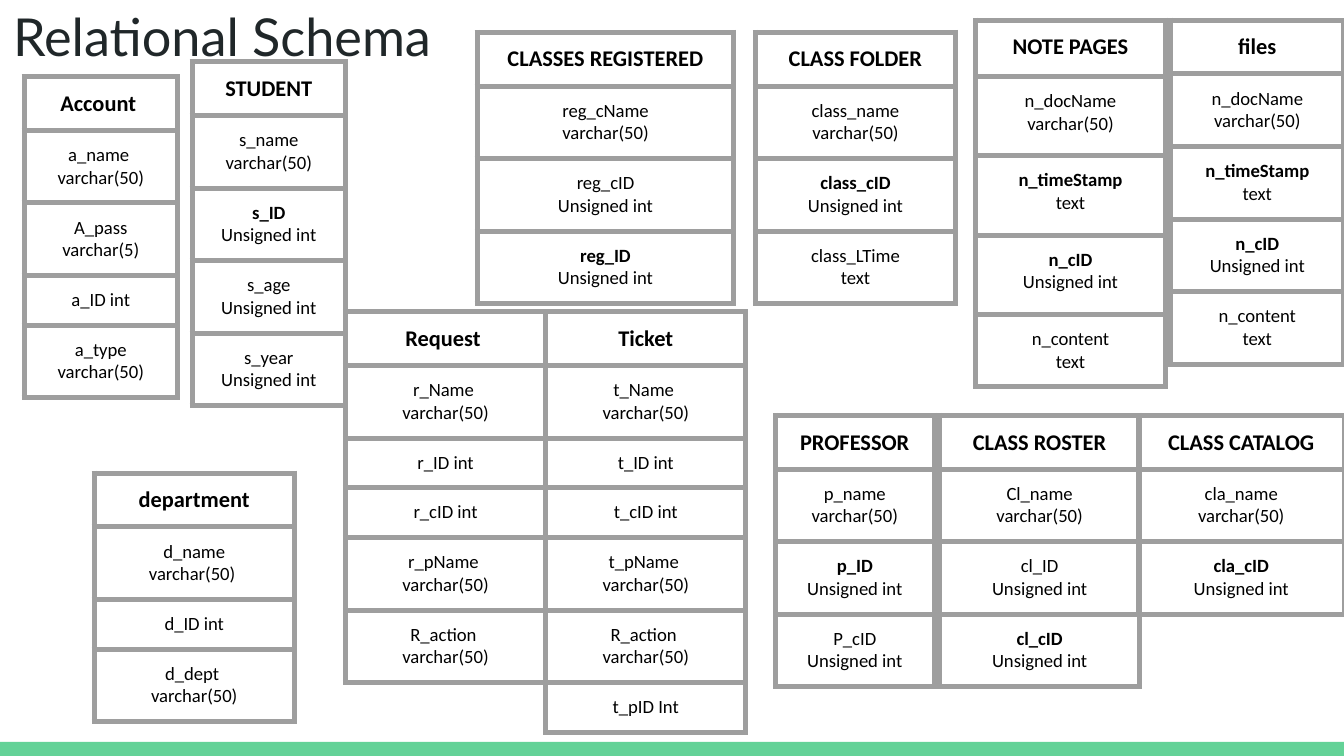
from lxml.etree import SubElement
from pptx import Presentation
from pptx.dml.color import RGBColor
from pptx.enum.shapes import MSO_SHAPE as Shape
from pptx.enum.text import MSO_ANCHOR as Anchor, PP_ALIGN as Align
from pptx.oxml.ns import qn
from pptx.util import Inches, Pt

COLORS = {"accent": "63D297", "title": "202729", "text": "000000", "border": "9E9E9E"}
BORDER_WIDTH = Pt(3)
MARGIN = Inches(0.1)
HEADER_HEIGHT = 0.4
LINE_HEIGHTS = {1: 0.37, 2: 0.54}
KEYS = {"s_ID", "p_ID", "cl_cID", "reg_ID", "cla_cID", "class_cID", "n_timeStamp", "n_cID"}
PARAGRAPH_MARK, BREAK_MARK = "|", "/"
NOTE_HEIGHTS = [0.42, 0.59, 0.59, 0.59, 0.54]
NOTE_FIELDS = ["n_docName|varchar(50)", "n_timeStamp|text", "n_cID|Unsigned int", "n_content|text"]

RELATIONS = [
    ("Account ", 0.18, 0.57, 1.14,
     ["a_name |varchar(50)", "A_pass|varchar(5)", "a_ID int", "a_type|varchar(50)"]),
    ("STUDENT", 1.43, 0.46, 1.14,
     ["s_name/varchar(50)", "s_ID|Unsigned int", "s_age|Unsigned int", "s_year|Unsigned int"]),
    ("PROFESSOR", 5.77, 3.09, 1.18,
     ["p_name|varchar(50)", "p_ID|Unsigned int", "P_cID|Unsigned int"]),
    ("CLASS ROSTER", 6.99, 3.09, 1.49,
     ["Cl_name|varchar(50)", "cl_ID|Unsigned int", "cl_cID|Unsigned int"]),
    ("CLASSES REGISTERED", 3.55, 0.24, 1.91,
     ["reg_cName|varchar(50)", "reg_cID|Unsigned int", "reg_ID|Unsigned int"]),
    ("CLASS CATALOG", 8.47, 3.09, 1.53,
     ["cla_name|varchar(50)", "cla_cID/Unsigned int"]),
    ("CLASS FOLDER", 5.62, 0.24, 1.49,
     ["class_name/varchar(50)", "class_cID|Unsigned int", "class_LTime|text"]),
    ("NOTE PAGES", 7.26, 0.15, 1.41, NOTE_FIELDS, NOTE_HEIGHTS),
    ("files", 8.71, 0.15, 1.29, NOTE_FIELDS),
    ("Request ", 2.57, 2.32, 1.49,
     ["r_Name |varchar(50)", "r_ID int", "r_cID int", "r_pName |varchar(50)",
      "R_action |varchar(50)"]),
    ("Ticket", 4.06, 2.32, 1.49,
     ["t_Name |varchar(50)", "t_ID int", "t_cID int", "t_pName |varchar(50)",
      "R_action |varchar(50)", "t_pID Int"]),
    ("department", 0.7, 3.52, 1.49,
     ["d_name/varchar(50) ", "d_ID int", "d_dept |varchar(50)"]),
]


def row_height(field):
    """Return the height that the lines of a field need."""
    return LINE_HEIGHTS[1 + field.count(PARAGRAPH_MARK) + field.count(BREAK_MARK)]


class SchemaPage:
    """Draws the schema elements on one slide in a shared style."""

    def __init__(self, page):
        self.page = page

    def style(self, font, size, color, name="Calibri", bold=False):
        font.name, font.size, font.bold = name, Pt(size), bold
        font.color.rgb = RGBColor.from_string(COLORS[color])

    def bar(self, left, top, width, height):
        bar = self.page.shapes.add_shape(
            Shape.RECTANGLE, Inches(left), Inches(top), Inches(width), Inches(height))
        bar.shadow.inherit = False
        bar.fill.solid()
        bar.fill.fore_color.rgb = RGBColor.from_string(COLORS["accent"])
        bar.line.fill.background()

    def title(self, text, left, top, width, height):
        box = self.page.shapes.add_textbox(
            Inches(left), Inches(top), Inches(width), Inches(height))
        frame = box.text_frame
        frame.word_wrap = True
        frame.vertical_anchor = Anchor.TOP
        frame.margin_left = frame.margin_right = MARGIN
        frame.margin_top = frame.margin_bottom = MARGIN
        para = frame.paragraphs[0]
        para.text = text
        self.style(para.font, 28, "title", name="Lato")

    def borders(self, cell):
        properties = cell._tc.get_or_add_tcPr()
        for side in ("a:lnL", "a:lnR", "a:lnT", "a:lnB"):
            line = SubElement(properties, qn(side), w=str(BORDER_WIDTH))
            fill = SubElement(line, qn("a:solidFill"))
            SubElement(fill, qn("a:srgbClr"), val=COLORS["border"])

    def cell(self, cell, text, header):
        cell.margin_left = cell.margin_right = MARGIN
        cell.margin_top = cell.margin_bottom = MARGIN
        cell.vertical_anchor = Anchor.TOP
        self.borders(cell)
        cell.fill.background()
        cell.text = text.replace(PARAGRAPH_MARK, "\n").replace(BREAK_MARK, "\v")
        for para in cell.text_frame.paragraphs:
            para.alignment = Align.CENTER
            self.style(para.font, 12 if header else 10, "text", bold=header)
            for span in para.runs:
                if span.text in KEYS:
                    span.font.bold = True

    def relation(self, name, left, top, width, fields, heights=None):
        heights = heights or [HEADER_HEIGHT, *map(row_height, fields)]
        table = self.page.shapes.add_table(
            len(heights), 1, Inches(left), Inches(top), Inches(width), Inches(sum(heights))).table
        table.first_row = table.horz_banding = False
        for index, (text, height) in enumerate(zip([name, *fields], heights)):
            table.rows[index].height = Inches(height)
            self.cell(table.cell(index, 0), text, header=index == 0)


def main():
    deck = Presentation()
    deck.slide_width, deck.slide_height = Inches(10), Inches(10 * 9 / 16)
    schema = SchemaPage(deck.slides.add_slide(deck.slide_layouts[6]))
    schema.bar(0, 5.52, 10, 0.11)
    schema.title("Relational Schema", 0, -0.07, 9.32, 0.63)
    for relation in RELATIONS:
        schema.relation(*relation)
    deck.save("out.pptx")


if __name__ == "__main__":
    main()
